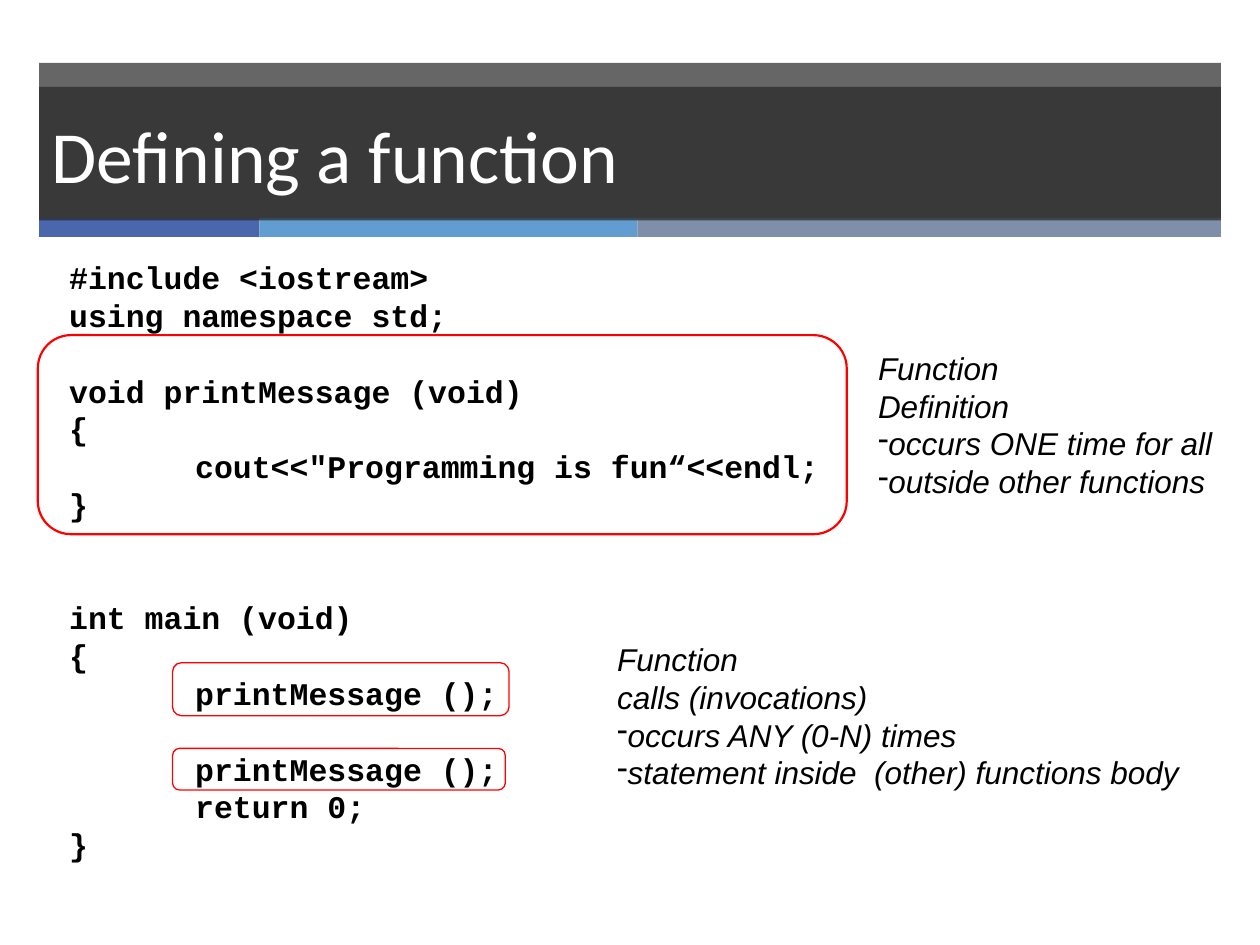
from lxml.etree import SubElement
from pptx import Presentation
from pptx.dml.color import RGBColor
from pptx.enum.shapes import MSO_SHAPE
from pptx.enum.text import MSO_ANCHOR, MSO_AUTO_SIZE, PP_ALIGN
from pptx.oxml.ns import qn
from pptx.util import Inches, Pt

# Content
TITLE = "Defining a function"
# Each line of code: blank lines above it, text
CODE = [
    (0, "#include <iostream>"),
    (0, "using namespace std;"),
    (1, "void printMessage (void)"),
    (0, "{"),
    (0, '\tcout<<"Programming is fun“<<endl;'),
    (0, "}"),
    (2, "int main (void)"),
    (0, "{"),
    (0, "\tprintMessage ();"),
    (1, "\tprintMessage ();"),
    (0, "\treturn 0;"),
    (0, "}"),
]
# Each note: box, heading lines, dashed points
NOTES = [
    ((6.87, 2.72, 2.85, 1.3), ["Function", "Definition"],
     ["occurs ONE time for all", "outside other functions"]),
    ((4.8, 5.03, 4.73, 1.3), ["Function", "calls (invocations)"],
     ["occurs ANY (0-N) times", "statement inside  (other) functions body"]),
]
# Each frame: box, line width in points
FRAMES = [
    ((0.3, 2.66, 6.42, 1.58), 1.25),
    ((1.37, 5.26, 2.67, 0.42), 0.75),
    ((1.37, 5.94, 2.64, 0.33), 0.75),
]
STRIPES = [(1.75, "4A66AC"), (3, "629DD1"), (4.63, "7F8FA9")]
BAND_LEFT, BAND_WIDTH = 0.31, 9.38
TEXT_SIZE, LINE_PITCH = 18, 21.6
CODE_INDENT = 1


def color(hex_code):
    return RGBColor.from_string(hex_code)


def inches(box):
    return [Inches(length) for length in box]


def paint(shape, hex_code, opacity=100):
    shape.fill.solid()
    shape.fill.fore_color.rgb = color(hex_code)
    if opacity < 100:
        solid = shape._element.spPr.find(qn("a:solidFill"))
        SubElement(solid[0], qn("a:alpha"), val=str(opacity * 1000))


def add_block(slide, box, kind):
    block = slide.shapes.add_shape(kind, *inches(box))
    block.shadow.inherit = False
    return block


def add_band(slide, box, hex_code, opacity=100):
    band = add_block(slide, box, MSO_SHAPE.RECTANGLE)
    paint(band, hex_code, opacity)
    band.line.fill.background()


def style(paragraph, size, font, hex_code, bold=False, italic=False):
    for run in paragraph.runs:
        run.font.size = Pt(size)
        run.font.name = font
        run.font.bold = bold
        run.font.italic = italic
        run.font.color.rgb = color(hex_code)


def add_lines(slide, box, lines, font, **emphasis):
    frame = slide.shapes.add_textbox(*inches(box)).text_frame
    frame.word_wrap = False
    frame.auto_size = MSO_AUTO_SIZE.SHAPE_TO_FIT_TEXT
    frame.text = "\n".join(lines)
    for paragraph in frame.paragraphs:
        paragraph.line_spacing = Pt(LINE_PITCH)
        style(paragraph, TEXT_SIZE, font, "000000", **emphasis)
    return frame.paragraphs


def add_tab_stop(paragraph, position):
    stops = SubElement(paragraph._p.get_or_add_pPr(), qn("a:tabLst"))
    SubElement(stops, qn("a:tab"), pos=str(Inches(position)), algn="l")


def add_dash(paragraph):
    properties = paragraph._p.get_or_add_pPr()
    properties.set("marL", "0")
    properties.set("indent", "0")
    SubElement(properties, qn("a:buFontTx"))
    SubElement(properties, qn("a:buChar"), char="-")


def main():
    deck = Presentation()
    deck.slide_width, deck.slide_height = Inches(10), Inches(7.5)
    slide = deck.slides.add_slide(deck.slide_layouts[5])

    # Header band and stripes
    add_band(slide, (BAND_LEFT, 0.5, BAND_WIDTH, 1.24), "262626", 70)
    left = BAND_LEFT
    for width, hex_code in STRIPES:
        add_band(slide, (left, 1.73, width, 0.15), hex_code)
        left += width

    # Title, in front of the band
    title = slide.shapes.title
    title.left, title.top, title.width, title.height = inches(
        (BAND_LEFT, 0.69, BAND_WIDTH, 1.06))
    paint(title, "262626", 70)
    title.text_frame.text = TITLE
    title.text_frame.vertical_anchor = MSO_ANCHOR.MIDDLE
    heading = title.text_frame.paragraphs[0]
    heading.alignment = PP_ALIGN.LEFT
    style(heading, 42, "Calibri", "FFFFFF")
    slide.shapes._spTree.append(title._element)

    # Code listing
    code_lines = add_lines(slide, (0.45, 2, 6.19, 4.95),
                           [text for _, text in CODE], "Courier New", bold=True)
    for paragraph, (blanks, _) in zip(code_lines, CODE):
        paragraph.space_before = Pt(blanks * LINE_PITCH)
        add_tab_stop(paragraph, CODE_INDENT)

    # Frames around the definition and the calls
    for box, weight in FRAMES:
        frame = add_block(slide, box, MSO_SHAPE.ROUNDED_RECTANGLE)
        frame.fill.background()
        frame.line.color.rgb = color("FF0000")
        frame.line.width = Pt(weight)

    # Notes beside the code
    for box, headings, points in NOTES:
        note_lines = add_lines(slide, box, headings + points, "Arial", italic=True)
        for paragraph in note_lines[len(headings):]:
            add_dash(paragraph)

    deck.save("out.pptx")


if __name__ == "__main__":
    main()
